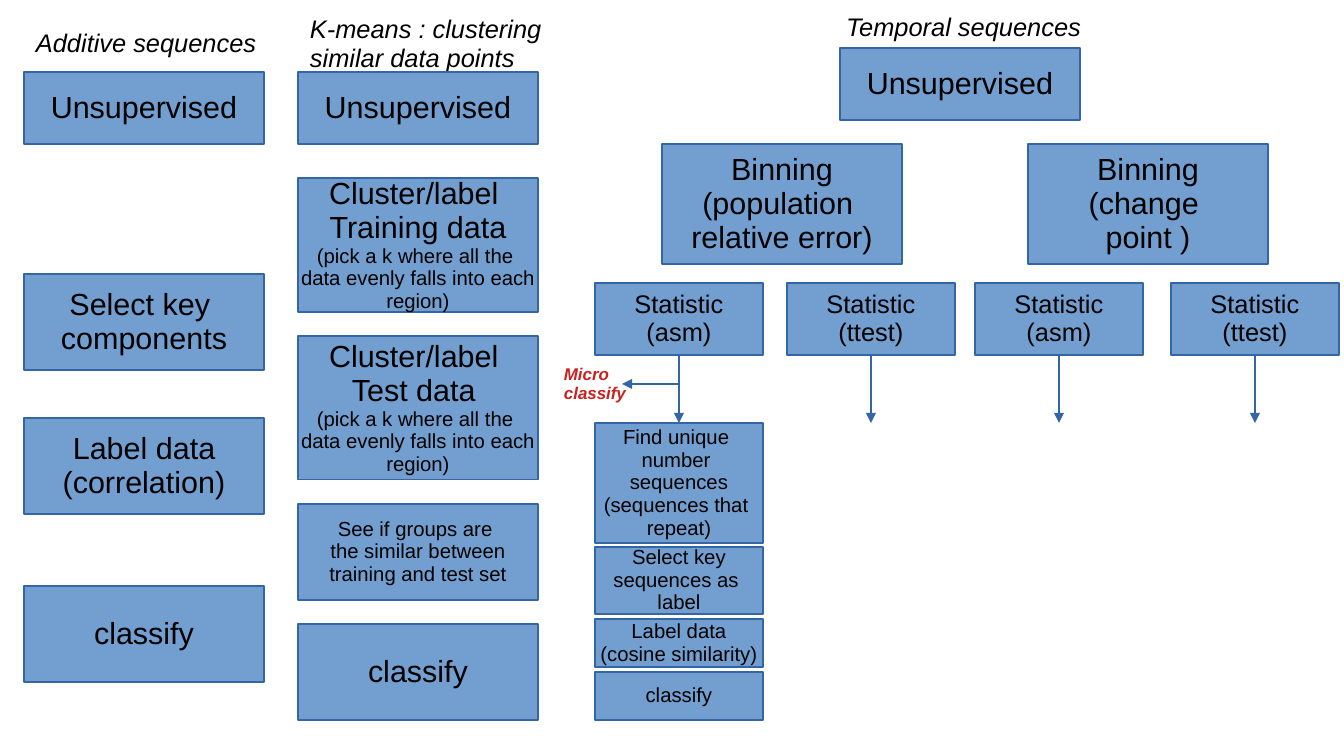
from pptx import Presentation
from pptx.dml.color import RGBColor
from pptx.enum.shapes import MSO_CONNECTOR as Connector, MSO_SHAPE as Shape
from pptx.enum.text import MSO_ANCHOR as Anchor, PP_ALIGN as Align
from pptx.oxml.ns import qn
from pptx.util import Emu, Pt
from lxml.etree import SubElement

EMU_PER_PX = 914400 / 122
BOTTOM, TOP = 2, 0


def px(length):
    return Emu(round(length * EMU_PER_PX))


def color(hex_value):
    return RGBColor.from_string(hex_value)


class Flowchart:
    font = "Arial"
    ink = "000000"
    fill = "729FCF"
    stroke = "3465A4"
    alert = "C9211E"
    line_width = Pt(0.75)
    line_spacing = 0.93

    def __init__(self, slide):
        self.shapes = slide.shapes

    def set_lines(self, frame, lines, align, ink, bold=False, italic=False):
        frame.word_wrap = False
        for index, (text, size) in enumerate(lines):
            paragraph = frame.paragraphs[0] if index == 0 else frame.add_paragraph()
            paragraph.text = text
            paragraph.alignment = align
            paragraph.line_spacing = self.line_spacing
            font = paragraph.font
            font.name, font.size = self.font, Pt(size)
            font.bold, font.italic = bold, italic
            font.color.rgb = color(ink)

    def step(self, x, y, width, height, lines, size=18, details=()):
        box = self.shapes.add_shape(Shape.RECTANGLE, px(x), px(y), px(width), px(height))
        box.shadow.inherit = False
        box.fill.solid()
        box.fill.fore_color.rgb = color(self.fill)
        box.line.color.rgb = color(self.stroke)
        box.line.width = self.line_width
        box.text_frame.vertical_anchor = Anchor.MIDDLE
        sized = [(text, size) for text in lines] + [(text, 12) for text in details]
        self.set_lines(box.text_frame, sized, Align.CENTER, self.ink)
        return box

    def label(self, x, y, width, height, lines, size=15, ink=ink, bold=False):
        box = self.shapes.add_textbox(px(x), px(y), px(width), px(height))
        sized = [(text, size) for text in lines]
        self.set_lines(box.text_frame, sized, Align.LEFT, ink, bold, italic=True)

    def arrow(self, x1, y1, x2, y2, source=None, target=None):
        link = self.shapes.add_connector(
            Connector.STRAIGHT, px(x1), px(y1), px(x2), px(y2))
        if source is not None:
            link.begin_connect(source, BOTTOM)
        if target is not None:
            link.end_connect(target, TOP)
        link.line.color.rgb = color(self.stroke)
        link.line.width = self.line_width
        properties = link._element.spPr
        SubElement(properties.find(qn("a:ln")), qn("a:tailEnd"), type="triangle")
        SubElement(properties, qn("a:effectLst"))


WIDE, NARROW = 240, 168
ADDITIVE_X, KMEANS_X, STATISTIC_X = 24, 298, 595
STATISTIC_Y, STATISTIC_HEIGHT, ARROW_END = 283, 72, 423

ADDITIVE = [
    (72, 72, ["Unsupervised"]),
    (274, 96, ["Select key ", "components"]),
    (418, 96, ["Label data", "(correlation)"]),
    (586, 96, ["classify"]),
]
PICK_K = ["(pick a k where all the ", "data evenly falls into each", "region)"]
KMEANS = [
    (72, 72, ["Unsupervised"], 18, []),
    (178, 134, ["Cluster/label ", "Training data"], 18, PICK_K),
    (336, 144, ["Cluster/label ", "Test data "], 18, PICK_K),
    (504, 96, ["See if groups are ", "the similar between", "training and test set"], 12, []),
    (624, 96, ["classify"], 18, []),
]
BINNING = [
    (662, ["Binning", "(population ", "relative error)"]),
    (1028, ["Binning", "(change ", "point )"]),
]
STATISTICS = [(STATISTIC_X, "(asm)"), (787, "(ttest)"), (975, "(asm)"), (1171, "(ttest)")]
SEQUENCES = [
    (ARROW_END, 120,
     ["Find unique ", "number ", "sequences", "(sequences that ", "repeat)"]),
    (547, 67, ["Select key", "sequences as ", "label"]),
    (619, 48, ["Label data", "(cosine similarity)"]),
    (672, 48, ["classify"]),
]


def main():
    deck = Presentation()
    deck.slide_width, deck.slide_height = px(1344), px(756)
    chart = Flowchart(deck.slides.add_slide(deck.slide_layouts[6]))

    chart.label(ADDITIVE_X, 24, 246, 40, ["Additive sequences"])
    for y, height, lines in ADDITIVE:
        chart.step(ADDITIVE_X, y, WIDE, height, lines)

    chart.label(KMEANS_X, 10, 264, 68, ["K-means : clustering", "similar data points"])
    for y, height, lines, size, details in KMEANS:
        chart.step(KMEANS_X, y, WIDE, height, lines, size, details)

    chart.label(834, 8, 260, 40, ["Temporal sequences"])
    chart.step(840, 48, WIDE, 72, ["Unsupervised"])
    for x, lines in BINNING:
        chart.step(x, 144, WIDE, 120, lines)

    sequence_steps = [chart.step(STATISTIC_X, y, NARROW, height, lines, 12)
                      for y, height, lines in SEQUENCES]
    for x, test in STATISTICS:
        statistic = chart.step(
            x, STATISTIC_Y, NARROW, STATISTIC_HEIGHT, ["Statistic", test], 15)
        middle = x + NARROW // 2
        target = sequence_steps[0] if x == STATISTIC_X else None
        chart.arrow(middle, STATISTIC_Y + STATISTIC_HEIGHT, middle, ARROW_END,
                    statistic, target)

    chart.arrow(STATISTIC_X + NARROW // 2, 384, 622, 384)
    chart.label(552, 359, 86, 50, ["Micro", "classify"], 10, chart.alert, bold=True)

    deck.save("out.pptx")


if __name__ == "__main__":
    main()
